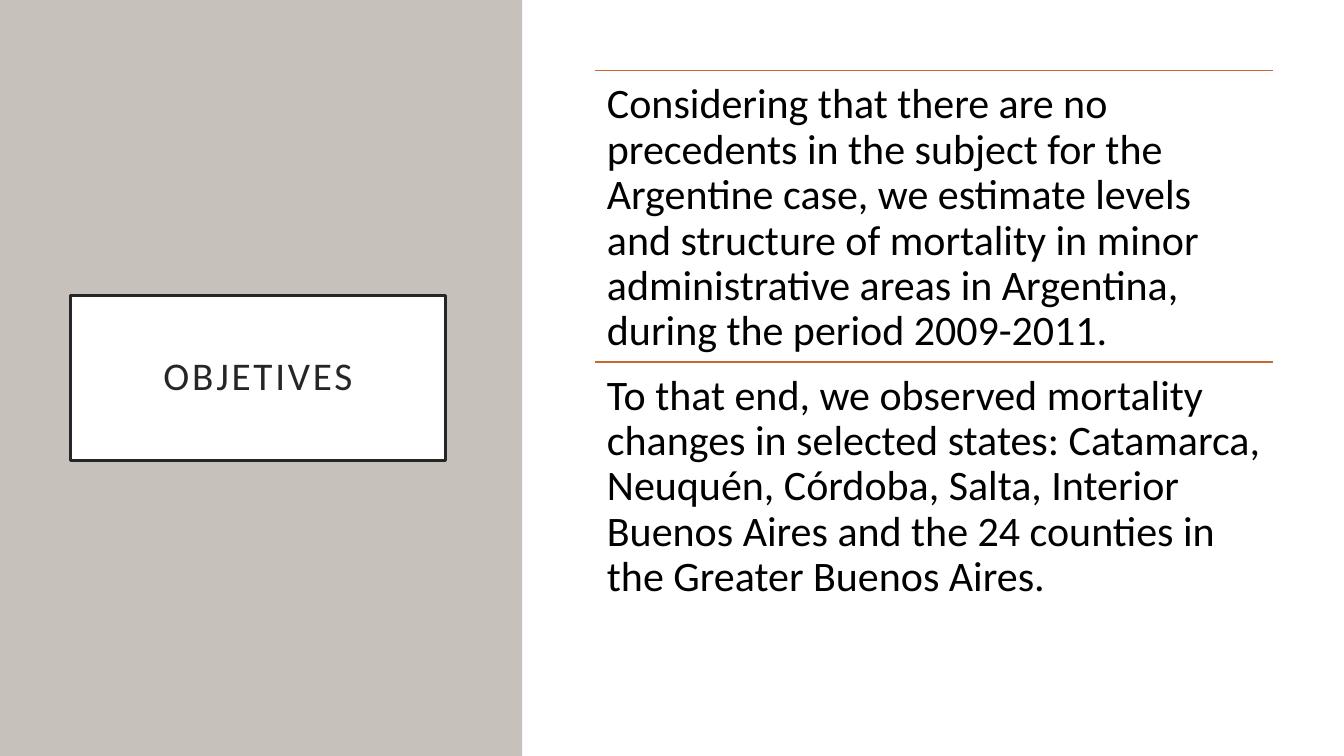
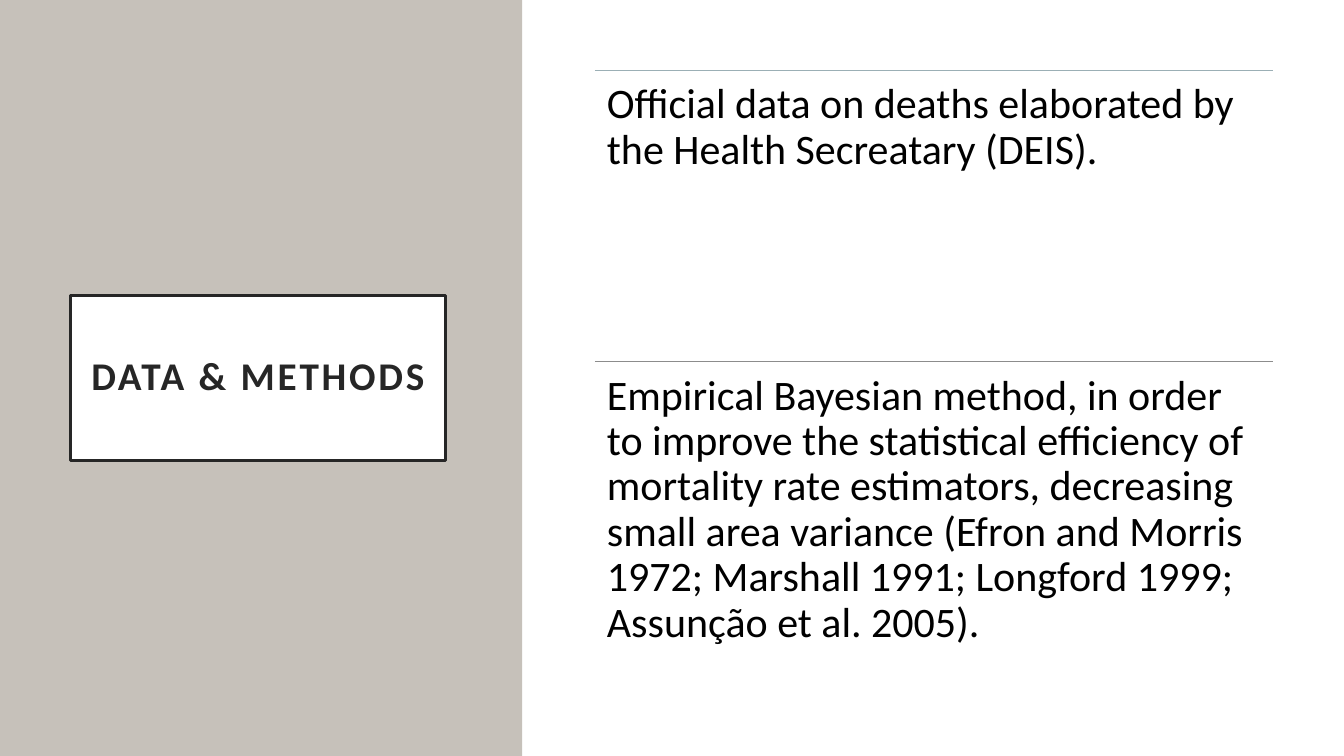
from lxml.etree import SubElement
from pptx import Presentation
from pptx.dml.color import RGBColor
from pptx.enum.shapes import MSO_CONNECTOR, MSO_SHAPE
from pptx.enum.text import MSO_ANCHOR, MSO_AUTO_SIZE, PP_ALIGN
from pptx.oxml.ns import qn
from pptx.util import Inches, Pt

SLIDES = [
    {
        "title": "OBJETIVES",
        "bold": False,
        "rule_width": 1,
        "items": [
            ("orange", "Considering that there are no precedents in the subject for the "
                       "Argentine case, we estimate levels and structure of mortality in "
                       "minor administrative areas in Argentina, during the period 2009-2011."),
            ("orange", "To that end, we observed mortality changes in selected states: "
                       "Catamarca, Neuquén, Córdoba, Salta, Interior Buenos Aires and the "
                       "24 counties in the Greater Buenos Aires."),
        ],
    },
    {
        "title": "DATA & METHODS",
        "bold": True,
        "rule_width": 0.5,
        "items": [
            ("blue", "Official data on deaths elaborated by the Health Secreatary (DEIS)."),
            ("gray", "Empirical Bayesian method, in order to improve the statistical "
                     "efficiency of mortality rate estimators, decreasing small area "
                     "variance (Efron and Morris 1972; Marshall 1991; Longford 1999; "
                     "Assunção et al. 2005)."),
        ],
    },
]

COLORS = {"panel": "C6C1BA", "white": "FFFFFF", "dark": "262626", "text": "000000",
          "orange": "C96731", "blue": "9BAFB5", "gray": "8C8C8C"}
FONT = "Calibri"
ITEM_LEFT, ITEM_TOP, ITEM_WIDTH, ITEM_HEIGHT = 5.9, 0.7, 6.73, 2.89


def rgb(name):
    return RGBColor.from_string(COLORS[name])


def set_frame(tf, inset):
    tf.word_wrap = True
    tf.auto_size = MSO_AUTO_SIZE.NONE
    tf.margin_left = tf.margin_right = tf.margin_top = tf.margin_bottom = Inches(inset)


def set_font(font, size, color, bold=False):
    font.name = FONT
    font.size = Pt(size)
    font.bold = bold
    font.color.rgb = rgb(color)


def add_panel(slide):
    """Side panel, placed behind the title."""
    sp = slide.shapes.add_shape(MSO_SHAPE.RECTANGLE, 0, 0, Inches(5.18), Inches(7.5))
    sp.shadow.inherit = False
    sp.fill.solid()
    sp.fill.fore_color.rgb = rgb("panel")
    sp.line.fill.background()
    slide.shapes._spTree.insert(2, sp._element)


def set_title(slide, text, bold):
    sp = slide.shapes.title
    sp.left, sp.top, sp.width, sp.height = map(Inches, (0.7, 2.93, 3.72, 1.64))
    sp.fill.solid()
    sp.fill.fore_color.rgb = rgb("white")
    sp.line.color.rgb = rgb("dark")
    sp.line.width = Pt(2.5)
    tf = sp.text_frame
    set_frame(tf, 0.2)
    tf.vertical_anchor = MSO_ANCHOR.MIDDLE
    p = tf.paragraphs[0]
    p.alignment = PP_ALIGN.CENTER
    p.line_spacing = 0.9
    r = p.add_run()
    r.text = text
    set_font(r.font, 28, "dark", bold)
    r._r.get_or_add_rPr().set("spc", "200")


def add_item(slide, top, text, color, rule_width):
    """Paragraph under a thin rule."""
    left, right, y = Inches(ITEM_LEFT), Inches(ITEM_LEFT + ITEM_WIDTH), Inches(top)
    rule = slide.shapes.add_connector(MSO_CONNECTOR.STRAIGHT, left, y, right, y)
    rule.line.color.rgb = rgb(color)
    rule.line.width = Pt(rule_width)
    SubElement(rule._element.spPr, qn("a:effectLst"))

    box = slide.shapes.add_textbox(left, y, Inches(ITEM_WIDTH), Inches(ITEM_HEIGHT))
    set_frame(box.text_frame, 0.12)
    p = box.text_frame.paragraphs[0]
    p.text = text
    p.line_spacing = 0.9
    set_font(p.font, 30, "text")


def main():
    prs = Presentation()
    prs.slide_width, prs.slide_height = Inches(13.33), Inches(7.5)
    for content in SLIDES:
        slide = prs.slides.add_slide(prs.slide_layouts[5])
        add_panel(slide)
        set_title(slide, content["title"], content["bold"])
        for i, (color, text) in enumerate(content["items"]):
            add_item(slide, ITEM_TOP + i * ITEM_HEIGHT, text, color, content["rule_width"])
    prs.save("out.pptx")


if __name__ == "__main__":
    main()
